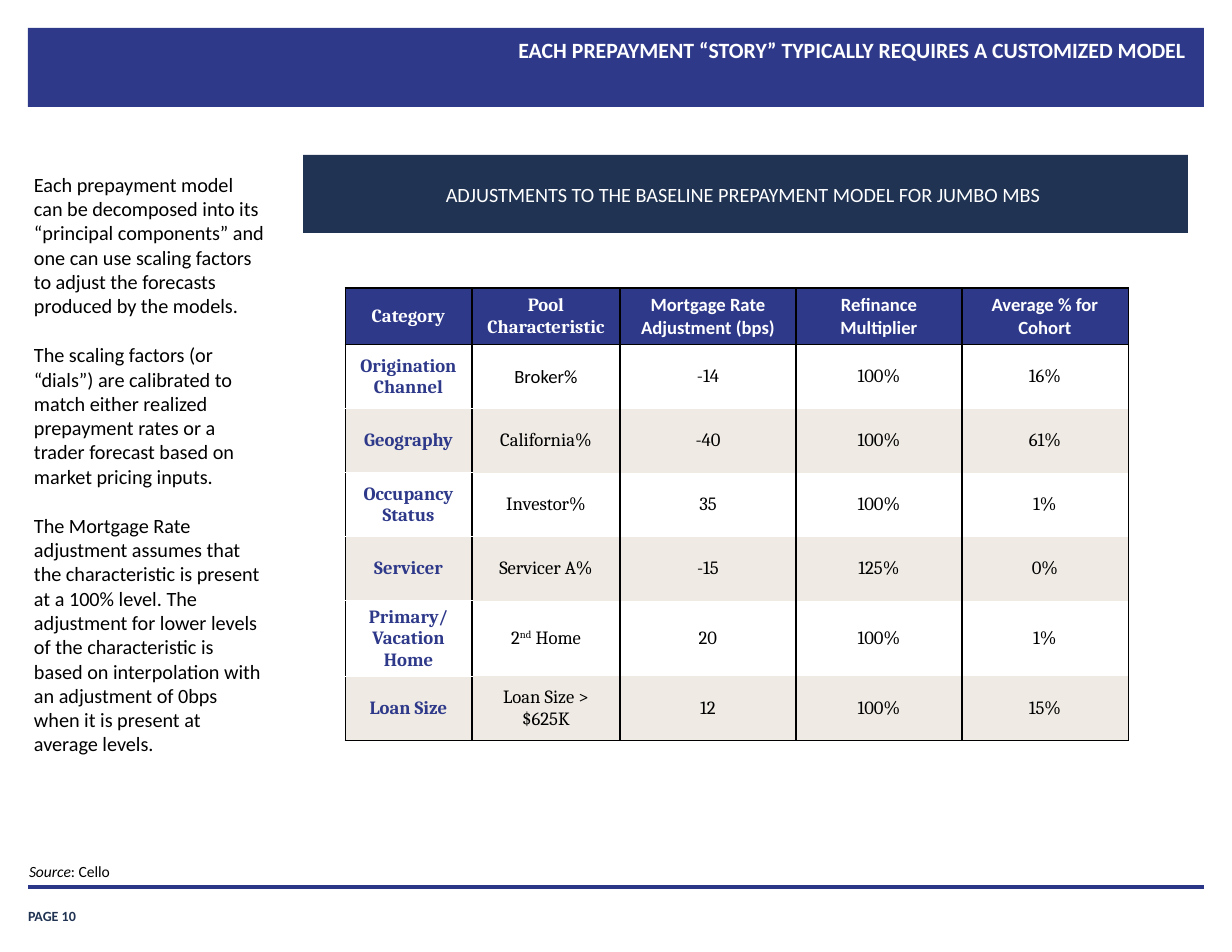
from dataclasses import dataclass

from lxml import etree
from pptx import Presentation, util as u
from pptx.dml.color import RGBColor
from pptx.enum import shapes, text
from pptx.oxml.ns import qn

TITLE = "EACH PREPAYMENT “STORY” TYPICALLY REQUIRES A CUSTOMIZED MODEL"
BAND = "ADJUSTMENTS TO THE BASELINE PREPAYMENT MODEL FOR JUMBO MBS"
PAGE = "PAGE 10"
SOURCE = [("Source", True), (": Cello", False)]
COMMENTARY = [
    "Each prepayment model can be decomposed into its “principal components” and one "
    "can use scaling factors to adjust the forecasts produced by the models.",
    "The scaling factors (or “dials”) are calibrated to match either realized "
    "prepayment rates or a trader forecast based on market pricing inputs.",
    "The Mortgage Rate adjustment assumes that the characteristic is present at a 100% "
    "level. The adjustment for lower levels of the characteristic is based on "
    "interpolation with an adjustment of 0bps when it is present at average levels.",
]
# Text between carets is superscript.
ADJUSTMENTS = [
    ("Category", "Pool Characteristic", "Mortgage Rate Adjustment (bps)",
     "Refinance Multiplier", "Average % for Cohort"),
    ("Origination Channel", "Broker%", "-14", "100%", "16%"),
    ("Geography", "California%", "-40", "100%", "61%"),
    ("Occupancy Status", "Investor%", "35", "100%", "1%"),
    ("Servicer", "Servicer A%", "-15", "125%", "0%"),
    ("Primary/Vacation Home", "2^nd^ Home", "20", "100%", "1%"),
    ("Loan Size", "Loan Size > $625K", "12", "100%", "15%"),
]
SANS_CELLS = {(0, 2), (0, 3), (0, 4), (1, 1)}
COLUMN_WIDTHS = (127, 148, 176, 166, 166)
HEADER_HEIGHT, ROW_HEIGHT = 55, 64


@dataclass(frozen=True)
class Theme:
    sans: str = "Calibri"
    serif: str = "Cambria"
    blue: str = "2E398A"
    rule: str = "2B3689"
    navy: str = "203353"
    stripe: str = "EFEBE4"
    white: str = "FFFFFF"
    black: str = "000000"
    title_size: int = 14
    body_size: int = 13
    table_size: int = 12
    source_size: int = 10
    page_size: int = 9


THEME = Theme()
INSETS = (12, 6, 12, 6)
NO_INSETS = (0, 0, 0, 0)


def px(length):
    return u.Emu(length * 914400 // 112)


def box(left, top, width, height):
    return px(left), px(top), px(width), px(height)


def place(shape, left, top, width, height):
    shape.left, shape.top, shape.width, shape.height = box(left, top, width, height)


def set_frame(frame, insets, anchor):
    frame.word_wrap = True
    frame.auto_size = text.MSO_AUTO_SIZE.NONE
    frame.vertical_anchor = anchor
    (frame.margin_left, frame.margin_top,
     frame.margin_right, frame.margin_bottom) = map(px, insets)


def style(paragraph, size, color, font=THEME.sans, bold=False, align=text.PP_ALIGN.LEFT):
    paragraph.alignment = align
    paragraph.font.name = font
    paragraph.font.size = u.Pt(size)
    paragraph.font.bold = bold
    paragraph.font.color.rgb = RGBColor.from_string(color)


def add_rectangle(slide, color, *area):
    shape = slide.shapes.add_shape(shapes.MSO_SHAPE.RECTANGLE, *box(*area))
    shape.shadow.inherit = False
    shape.fill.solid()
    shape.fill.fore_color.rgb = RGBColor.from_string(color)
    shape.line.fill.background()
    return shape


def add_text_box(slide, *area):
    frame = slide.shapes.add_textbox(*box(*area)).text_frame
    set_frame(frame, NO_INSETS, text.MSO_ANCHOR.BOTTOM)
    return frame.paragraphs[0]


def add_title(slide):
    title = slide.shapes.title
    place(title, 153, 31, 1051, 75)
    set_frame(title.text_frame, (12, 6, 18, 6), text.MSO_ANCHOR.TOP)
    title.text_frame.text = TITLE
    style(title.text_frame.paragraphs[0], THEME.title_size, THEME.white,
          bold=True, align=text.PP_ALIGN.RIGHT)


def add_commentary(slide):
    body = slide.placeholders[1]
    place(body, 22, 166, 255, 625)
    frame = body.text_frame
    set_frame(frame, INSETS, text.MSO_ANCHOR.TOP)
    frame.text = "\n".join(COMMENTARY)
    for index, paragraph in enumerate(frame.paragraphs):
        properties = paragraph._p.get_or_add_pPr()
        properties.set("marL", "0")
        properties.set("indent", "0")
        etree.SubElement(properties, qn("a:buNone"))
        paragraph.space_before = u.Pt(15.9 if index else 0)
        style(paragraph, THEME.body_size, THEME.black)


def set_borders(cell, borders):
    """Draw left, right, top and bottom borders, each (color, points) or None."""
    properties = cell._tc.get_or_add_tcPr()
    for index, (side, border) in enumerate(zip("LRTB", borders)):
        line = etree.Element(qn(f"a:ln{side}"))
        if border:
            color, points = border
            line.set("w", str(u.Pt(points)))
            fill = etree.SubElement(line, qn("a:solidFill"))
            etree.SubElement(fill, qn("a:srgbClr"), val=color)
        else:
            etree.SubElement(line, qn("a:noFill"))
        properties.insert(index, line)


def cell_borders(row, column):
    thin, medium = (THEME.black, 0.5), (THEME.black, 1)
    inner = (THEME.white, 1) if column == 0 else None
    last_row, last_column = len(ADJUSTMENTS) - 1, len(COLUMN_WIDTHS) - 1
    return (thin if column == 0 else medium,
            thin if column == last_column else medium,
            medium if row <= 1 else inner,
            medium if row == 0 else thin if row == last_row else inner)


def fill_cell(cell, row, column, content):
    header = row == 0
    cell.vertical_anchor = text.MSO_ANCHOR.MIDDLE
    cell.fill.solid()
    background = THEME.blue if header else THEME.white if row % 2 else THEME.stripe
    cell.fill.fore_color.rgb = RGBColor.from_string(background)
    set_borders(cell, cell_borders(row, column))
    paragraph = cell.text_frame.paragraphs[0]
    for index, part in enumerate(content.split("^")):
        run = paragraph.add_run()
        run.text = part
        if index % 2:
            run._r.get_or_add_rPr().set("baseline", "30000")
    color = THEME.white if header else THEME.blue if column == 0 else THEME.black
    style(paragraph, THEME.table_size, color,
          THEME.sans if (row, column) in SANS_CELLS else THEME.serif,
          bold=header or column == 0, align=text.PP_ALIGN.CENTER)


def add_adjustments(slide):
    heights = [HEADER_HEIGHT] + [ROW_HEIGHT] * (len(ADJUSTMENTS) - 1)
    area = box(345, 288, sum(COLUMN_WIDTHS), sum(heights))
    table = slide.shapes.add_table(len(heights), len(COLUMN_WIDTHS), *area).table
    table.first_row = table.horz_banding = False
    for column, width in zip(table.columns, COLUMN_WIDTHS):
        column.width = px(width)
    for row, (height, contents) in enumerate(zip(heights, ADJUSTMENTS)):
        table.rows[row].height = px(height)
        for column, content in enumerate(contents):
            fill_cell(table.cell(row, column), row, column, content)


def add_footer(slide):
    rule = slide.shapes.add_connector(
        shapes.MSO_CONNECTOR.STRAIGHT, px(28), px(887), px(1204), px(887))
    rule.line.color.rgb = RGBColor.from_string(THEME.rule)
    rule.line.width = u.Pt(2)
    etree.SubElement(rule._element.spPr, qn("a:effectLst"))

    source = add_text_box(slide, 29, 864, 1169, 17)
    source.line_spacing = 0.9
    for words, italic in SOURCE:
        run = source.add_run()
        run.text, run.font.italic = words, italic
    style(source, THEME.source_size, THEME.black)

    page = add_text_box(slide, 28, 898, 102, 26)
    page.text = PAGE
    style(page, THEME.page_size, THEME.navy, bold=True)


def main():
    presentation = Presentation()
    presentation.slide_width, presentation.slide_height = px(1232), px(952)
    slide = presentation.slides.add_slide(presentation.slide_layouts[1])

    strip = add_rectangle(slide, THEME.blue, 28, 28, 1176, 79)
    slide.shapes.title._element.addprevious(strip._element)
    add_title(slide)
    add_commentary(slide)

    band = add_rectangle(slide, THEME.navy, 303, 155, 885, 78)
    set_frame(band.text_frame, (6, 6, 12, 6), text.MSO_ANCHOR.MIDDLE)
    band.text_frame.text = BAND
    style(band.text_frame.paragraphs[0], THEME.body_size, THEME.white,
          align=text.PP_ALIGN.CENTER)

    add_adjustments(slide)
    add_footer(slide)
    presentation.save("out.pptx")


if __name__ == "__main__":
    main()
